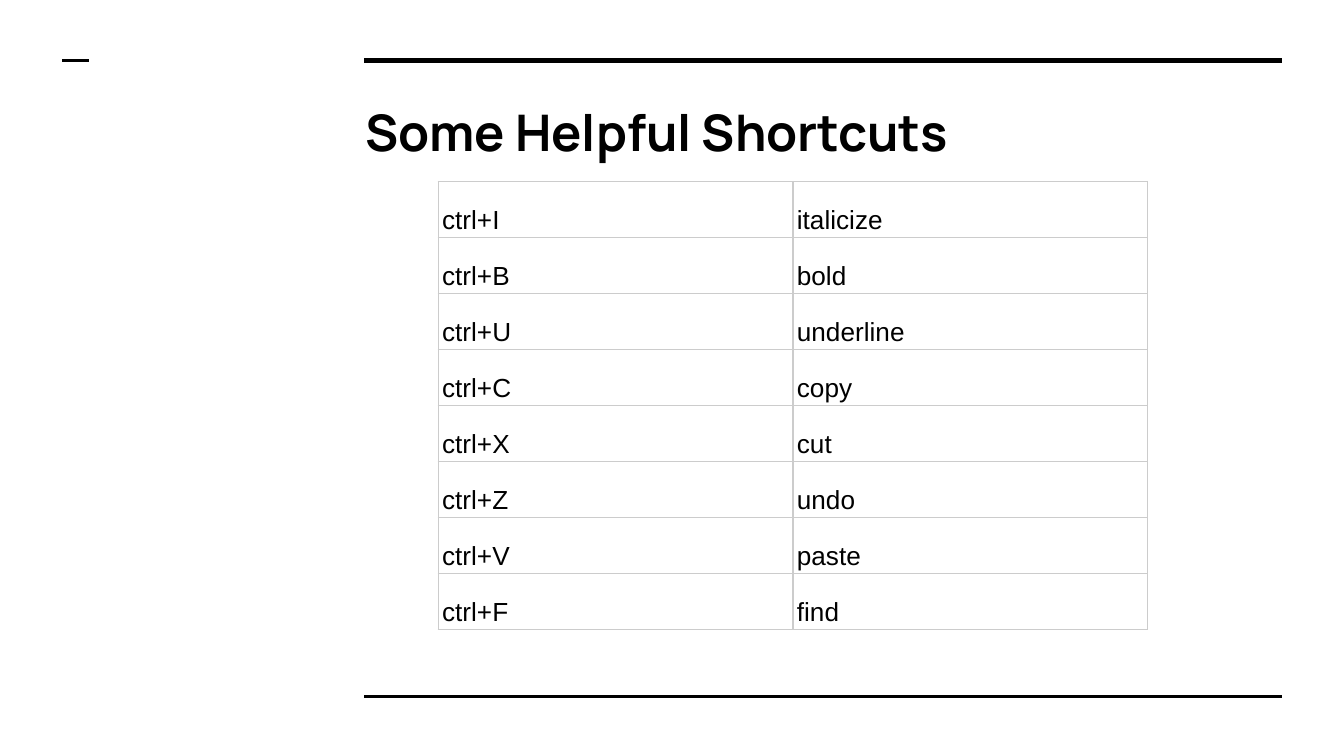
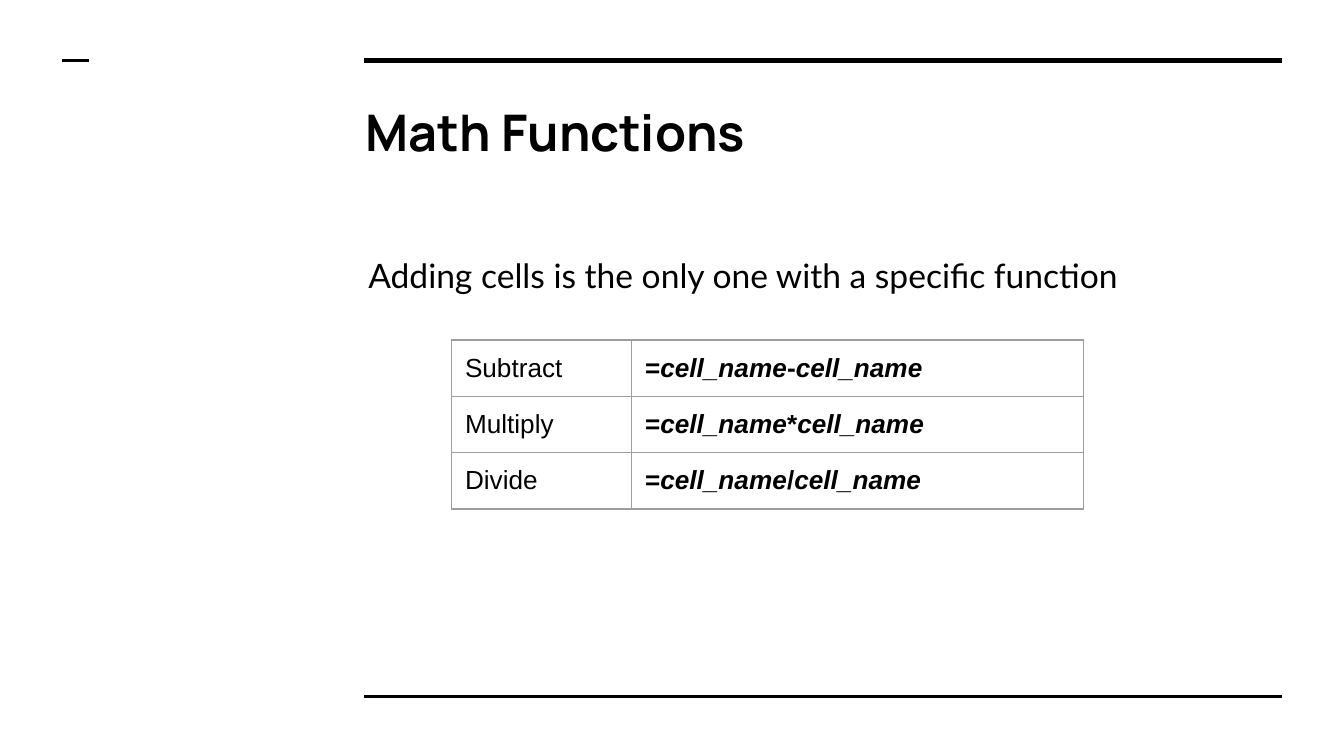
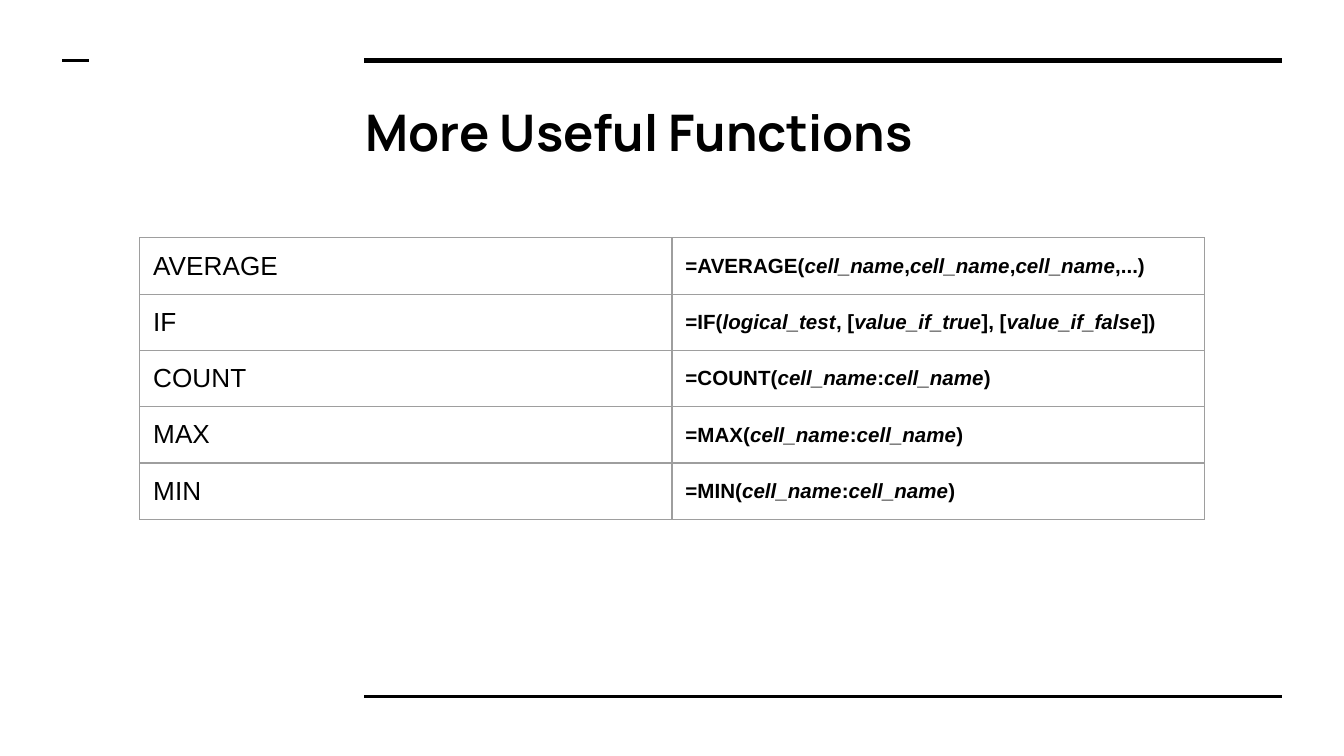
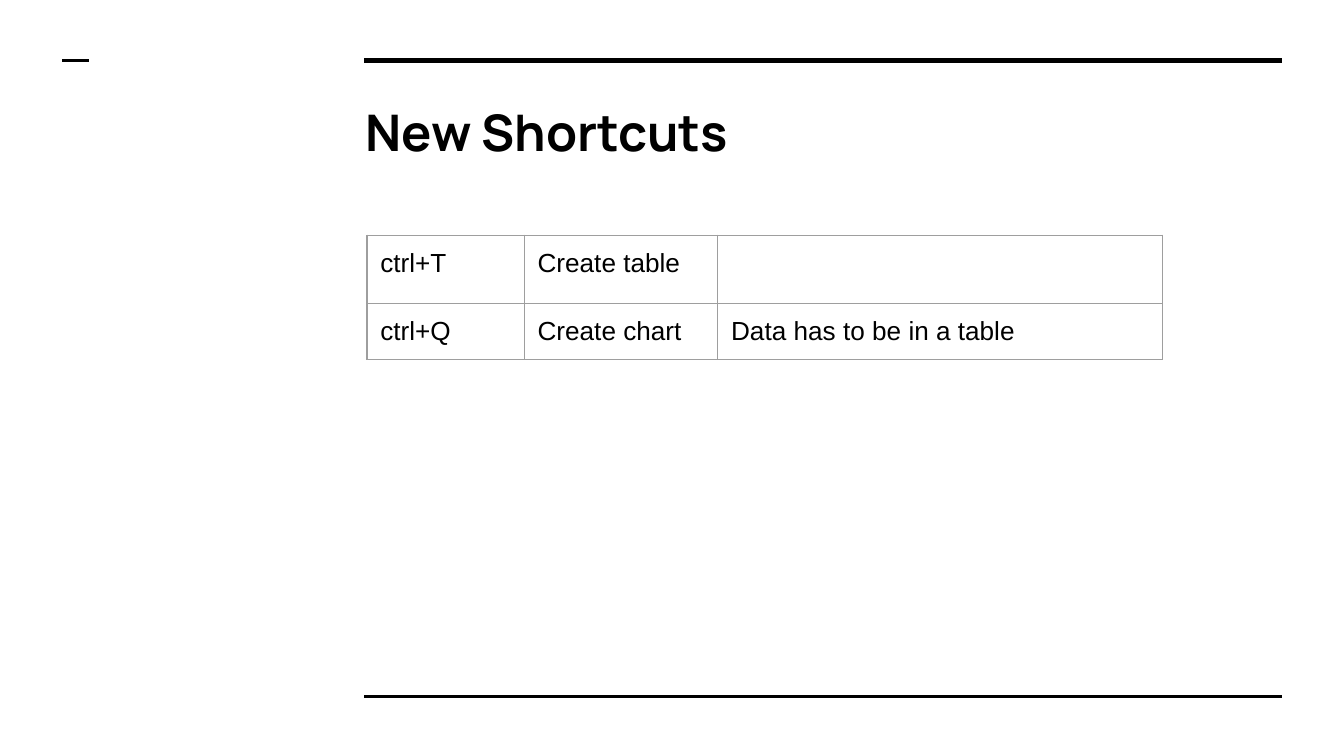
import dataclasses
import typing

import lxml.etree
import pptx
import pptx.dml.color
import pptx.enum.shapes
import pptx.enum.text
import pptx.oxml
import pptx.oxml.ns
import pptx.util

COLORS = {"ink": "000000", "light_rule": "CCCCCC", "dark_rule": "9E9E9E"}
COLUMNS = 100  # grid columns across the slide; rows are as tall as columns are wide
SLIDE_WIDTH = pptx.util.Inches(10)
SLIDE_HEIGHT = SLIDE_WIDTH * 9 // 16
TABLE_ROW = 4.17
TITLE_ONLY, TITLE_AND_BODY = 5, 1


class Box(typing.NamedTuple):
    left: float
    top: float
    width: float
    height: float


class Rule(typing.NamedTuple):
    start: float
    end: float
    row: float
    weight: float


@dataclasses.dataclass(frozen=True)
class TextStyle:
    font: str
    size: float
    bold: bool = False
    spacing: float = 1.0


@dataclasses.dataclass(frozen=True)
class Grid:
    """A table; a bar in a cell's text switches between upright and italic."""
    left: float
    top: float
    widths: tuple[float, ...]
    rows: tuple[tuple[str, ...], ...]
    styles: tuple[TextStyle, ...]
    border: str = "dark_rule"
    margins: tuple[float, float] = (1, 1)
    anchor: pptx.enum.text.MSO_ANCHOR = pptx.enum.text.MSO_ANCHOR.TOP


@dataclasses.dataclass(frozen=True)
class Page:
    title: str
    grid: Grid
    body: str = ""


RULES = (Rule(27.1, 95.4, 4.5, 3), Rule(27.1, 95.4, 51.8, 1.5), Rule(4.65, 6.65, 4.5, 1.5))
TITLE_BOX = Box(26.2, 6.3, 69.1, 6.9)
BODY_BOX = Box(26.4, 17.5, 69.1, 32.8)
TITLE = TextStyle("Manrope", 27, bold=True)
BODY = TextStyle("Lato", 18, spacing=1.15)
PLAIN = TextStyle("Arial", 14)
LOOSE = TextStyle("Arial", 14, spacing=1.15)
FORMULA = TextStyle("Arial", 14, bold=True)
SMALL_FORMULA = TextStyle("Arial", 11, bold=True, spacing=1.15)

PAGES = (
    Page("Some Helpful Shortcuts", Grid(
        32.6, 13.5, (26.4, 26.4),
        (("ctrl+I", "italicize"), ("ctrl+B", "bold"), ("ctrl+U", "underline"),
         ("ctrl+C", "copy"), ("ctrl+X", "cut"), ("ctrl+Z", "undo"),
         ("ctrl+V", "paste"), ("ctrl+F", "find")),
        (LOOSE, LOOSE), "light_rule", (0.3, 0.2), pptx.enum.text.MSO_ANCHOR.BOTTOM)),
    Page("Math Functions", Grid(
        33.6, 25.3, (13.4, 33.6),
        (("Subtract", "=|cell_name|-|cell_name"),
         ("Multiply", "=|cell_name|*|cell_name"),
         ("Divide", "=|cell_name|/|cell_name")),
        (PLAIN, FORMULA)),
        "Adding cells is the only one with a specific function"),
    Page("More Useful Functions", Grid(
        10.4, 17.7, (39.6, 39.6),
        (("AVERAGE", "=AVERAGE(|cell_name|,|cell_name|,|cell_name|,...)"),
         ("IF", "=IF(|logical_test|, [|value_if_true|], [|value_if_false|])"),
         ("COUNT", "=COUNT(|cell_name|:|cell_name|)"),
         ("MAX", "=MAX(|cell_name|:|cell_name|)"),
         ("MIN", "=MIN(|cell_name|:|cell_name|)")),
        (PLAIN, SMALL_FORMULA))),
    Page("New Shortcuts", Grid(
        27.3, 17.5, (11.7, 14.4, 33.1),
        (("ctrl+T", "Create table", ""),
         ("ctrl+Q", "Create chart", "Data has to be in a table")),
        (PLAIN, PLAIN, PLAIN))),
)


def units(count: float) -> int:
    return round(SLIDE_WIDTH * count / COLUMNS)


def color(name: str) -> pptx.dml.color.RGBColor:
    return pptx.dml.color.RGBColor.from_string(COLORS[name])


def write(frame, text: str, style: TextStyle) -> None:
    """Fill the first paragraph, with every second part in italics."""
    paragraph = frame.paragraphs[0]
    paragraph.alignment = pptx.enum.text.PP_ALIGN.LEFT
    paragraph.line_spacing = style.spacing
    paragraph.space_before = pptx.util.Pt(0)
    for index, part in enumerate(text.split("|") if text else ()):
        run = paragraph.add_run()
        run.text = part
        run.font.name = style.font
        run.font.size = pptx.util.Pt(style.size)
        run.font.bold = style.bold
        run.font.italic = index % 2 == 1
        run.font.color.rgb = color("ink")


def set_margins(holder, side: float, end: float) -> None:
    holder.margin_left = holder.margin_right = units(side)
    holder.margin_top = holder.margin_bottom = units(end)


def fill_placeholder(shape, box: Box, text: str, style: TextStyle,
                     anchor: pptx.enum.text.MSO_ANCHOR) -> None:
    shape.left, shape.top, shape.width, shape.height = map(units, box)
    frame = shape.text_frame
    frame.word_wrap = True
    frame.auto_size = pptx.enum.text.MSO_AUTO_SIZE.NONE
    frame.vertical_anchor = anchor
    set_margins(frame, 1, 1)
    write(frame, text, style)


def remove_bullet(paragraph) -> None:
    properties = paragraph._p.get_or_add_pPr()
    properties.set("marL", "0")
    properties.set("indent", "0")
    lxml.etree.SubElement(properties, pptx.oxml.ns.qn("a:buNone"))


def draw_rule(slide, rule: Rule) -> None:
    line = slide.shapes.add_connector(
        pptx.enum.shapes.MSO_CONNECTOR.STRAIGHT,
        units(rule.start), units(rule.row), units(rule.end), units(rule.row))
    line.line.color.rgb = color("ink")
    line.line.width = pptx.util.Pt(rule.weight)
    lxml.etree.SubElement(line._element.spPr, pptx.oxml.ns.qn("a:effectLst"))


def add_borders(cell, border: str) -> None:
    properties = cell._tc.get_or_add_tcPr()
    for side in ("lnL", "lnR", "lnT", "lnB"):
        properties.append(pptx.oxml.parse_xml(
            f'<a:{side} {pptx.oxml.ns.nsdecls("a")} w="{pptx.util.Pt(0.75)}">'
            f'<a:solidFill><a:srgbClr val="{COLORS[border]}"/></a:solidFill></a:{side}>'))


def draw_table(slide, grid: Grid) -> None:
    table = slide.shapes.add_table(
        len(grid.rows), len(grid.widths), units(grid.left), units(grid.top),
        units(sum(grid.widths)), units(TABLE_ROW * len(grid.rows))).table
    table.first_row = table.horz_banding = False
    for column, width in zip(table.columns, grid.widths):
        column.width = units(width)
    for row, texts in zip(table.rows, grid.rows):
        row.height = units(TABLE_ROW)
        for cell, text, style in zip(row.cells, texts, grid.styles):
            set_margins(cell, *grid.margins)
            cell.vertical_anchor = grid.anchor
            add_borders(cell, grid.border)
            cell.fill.background()
            write(cell.text_frame, text, style)


def build_page(deck, page: Page) -> None:
    layout = TITLE_AND_BODY if page.body else TITLE_ONLY
    slide = deck.slides.add_slide(deck.slide_layouts[layout])
    # Shared frame: rules and title
    for rule in RULES:
        draw_rule(slide, rule)
    fill_placeholder(slide.shapes.title, TITLE_BOX, page.title, TITLE,
                     pptx.enum.text.MSO_ANCHOR.MIDDLE)
    # Body text and table
    if page.body:
        body = slide.placeholders[1]
        fill_placeholder(body, BODY_BOX, page.body, BODY, pptx.enum.text.MSO_ANCHOR.TOP)
        remove_bullet(body.text_frame.paragraphs[0])
    draw_table(slide, page.grid)


def main() -> None:
    deck = pptx.Presentation()
    deck.slide_width, deck.slide_height = SLIDE_WIDTH, SLIDE_HEIGHT
    for page in PAGES:
        build_page(deck, page)
    deck.save("out.pptx")


if __name__ == "__main__":
    main()
